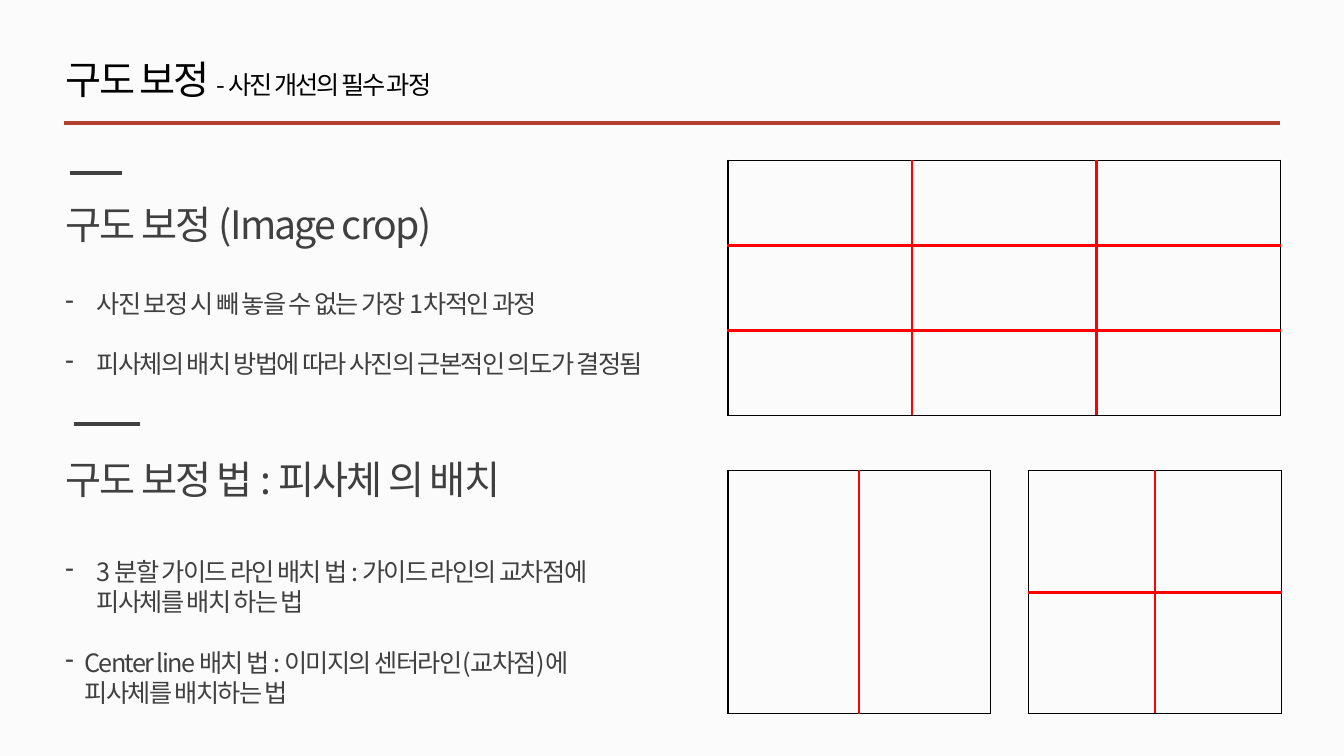
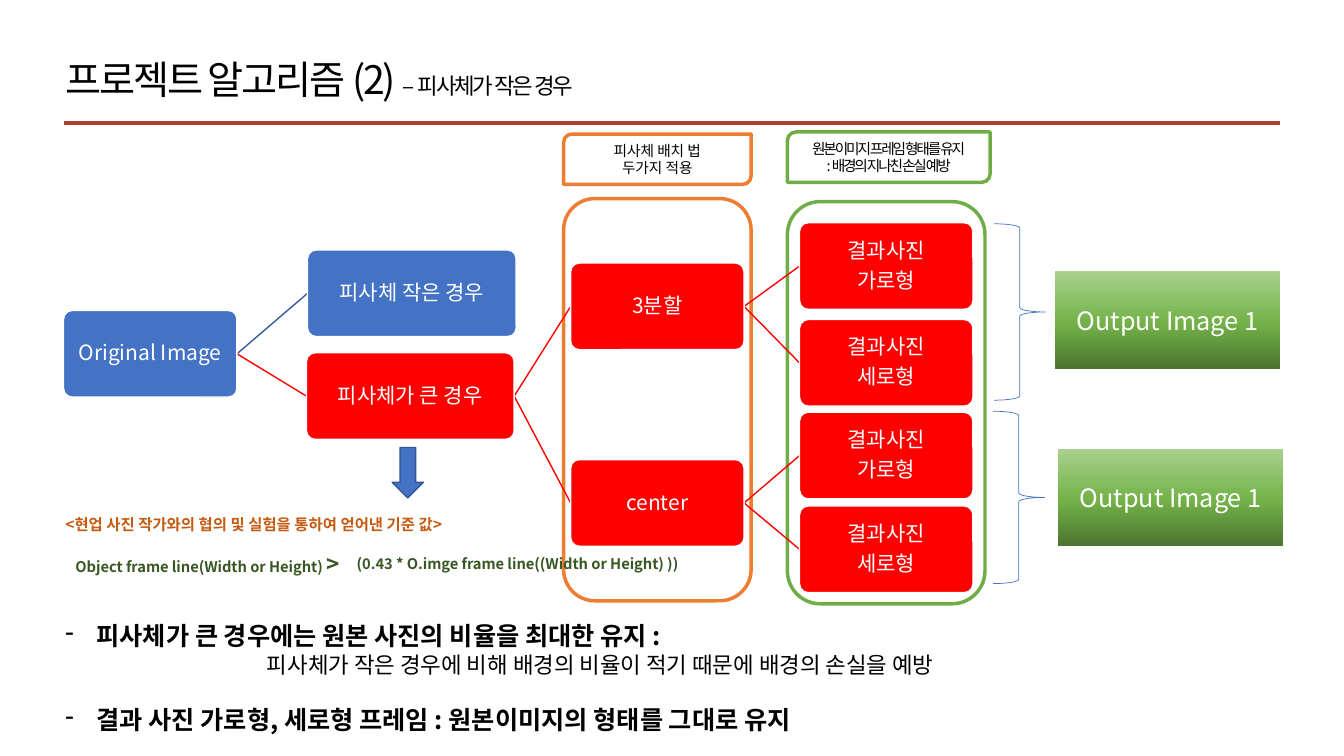
import copy
from dataclasses import dataclass

import pptx
import pptx.dml.color
import pptx.enum.shapes
import pptx.enum.text
import pptx.oxml
import pptx.oxml.ns
import pptx.util
from lxml import etree

Inches = pptx.util.Inches
Pt = pptx.util.Pt
qn = pptx.oxml.ns.qn
KIND = pptx.enum.shapes.MSO_SHAPE
ALIGN = pptx.enum.text.PP_ALIGN
ANCHOR = pptx.enum.text.MSO_ANCHOR


@dataclass(frozen=True)
class Style:
    """Look of one run of text."""
    size: float
    color: str
    track: float = 0
    bold: bool = False


@dataclass(frozen=True)
class Theme:
    """Colours and type shared by the slides."""
    font: str = "Noto Sans CJK KR"
    lead: float = 1.2
    paper: str = "FBFBFB"
    white: str = "FFFFFF"
    black: str = "000000"
    rule: str = "B14031"
    gray: str = "404040"
    red: str = "FF0000"
    blue: str = "4472C4"
    navy: str = "365B9D"
    edge: str = "325491"
    orange: str = "ED7D31"
    green: str = "70AD47"
    fade: tuple = ((0, "4B7430"), (0.48, "74B349"), (1, "A9D18E"))
    title: Style = Style(28, "000000", -1.5)
    sub: Style = Style(18, "000000", -1.5)
    minor: Style = Style(16, "000000", -1.5)
    topic: Style = Style(28, "404040", -1.2)
    body: Style = Style(18, "404040", -1.2)
    node: Style = Style(15, "FFFFFF")
    result: Style = Style(18, "FFFFFF")
    label: Style = Style(10.5, "000000")
    tight: Style = Style(10.5, "000000", -1.5)
    basis: Style = Style(11, "C55A11", 0, True)
    rate: Style = Style(10.5, "385723", 0, True)
    sign: Style = Style(16, "385723", 0, True)
    strong: Style = Style(18, "000000", 0, True)
    plain: Style = Style(16, "000000")


@dataclass(frozen=True)
class Box:
    """Rectangle in inches."""
    x: float
    y: float
    w: float
    h: float

    def sub(self, x, y, w, h):
        """Return a box placed relative to this one."""
        return Box(self.x + x, self.y + y, w, h)

    def place(self):
        """Return left, top, width and height as lengths."""
        return [Inches(n) for n in (self.x, self.y, self.w, self.h)]

    def side(self, right):
        """Return the middle of the left or right side."""
        return self.x + self.w * right, self.y + self.h / 2


THEME = Theme()


def rgb(code):
    """Turn a hex code into a colour."""
    return pptx.dml.color.RGBColor.from_string(code)


def add_run(para, text, style):
    """Add text in one style, breaking lines where marked."""
    for i, piece in enumerate(text.split("\n")):
        if i:
            para.add_line_break()
        run = para.add_run()
        run.text = piece
        run.font.size = Pt(style.size)
        run.font.bold = style.bold
        run.font.color.rgb = rgb(style.color)
        run.font.name = THEME.font
        props = run.font._element
        etree.SubElement(props, qn("a:ea")).set("typeface", THEME.font)
        if style.track:
            props.set("spc", str(round(style.track * 100)))


def add_para(frame, *parts, mark=False, left=0, hang=0, before=0, after=0,
             align=ALIGN.LEFT, scale=1):
    """Add one paragraph made of (text, style) parts."""
    para = frame.paragraphs[0]
    if para.runs:
        para = frame.add_paragraph()
    para.alignment = align
    para.line_spacing = Pt(max(s.size for _, s in parts) * THEME.lead * scale)
    para.space_before, para.space_after = Pt(before), Pt(after)
    props = para._p.get_or_add_pPr()
    props.set("marL", str(Inches(left)))
    props.set("indent", str(Inches(-hang)))
    if mark:
        etree.SubElement(props, qn("a:buChar")).set("char", "-")
    for text, style in parts:
        add_run(para, text, style)


def add_item(frame, text, style, before=0, hang=0.31):
    """Add a dashed list item."""
    add_para(frame, (text, style), mark=True, left=hang, hang=hang, before=before)


def add_text(slide, box, *parts):
    """Add a text box, with a first paragraph if parts are given."""
    frame = slide.shapes.add_textbox(*box.place()).text_frame
    frame.word_wrap = True
    if parts:
        add_para(frame, *parts)
    return frame


def add_line(slide, start, end, color, width):
    """Draw a straight line between two points."""
    ends = [Inches(n) for n in (*start, *end)]
    line = slide.shapes.add_connector(pptx.enum.shapes.MSO_CONNECTOR.STRAIGHT, *ends)
    line.line.color.rgb = rgb(color)
    line.line.width = Pt(width)
    etree.SubElement(line._element.spPr, qn("a:effectLst"))


def add_shape(slide, kind, box, fill=None, line=None, width=1):
    """Add a flat preset shape."""
    shape = slide.shapes.add_shape(kind, *box.place())
    shape.shadow.inherit = False
    if fill:
        shape.fill.solid()
        shape.fill.fore_color.rgb = rgb(fill)
    else:
        shape.fill.background()
    if line:
        shape.line.color.rgb = rgb(line)
        shape.line.width = Pt(width)
    else:
        shape.line.fill.background()
    shape.text_frame.vertical_anchor = ANCHOR.MIDDLE
    return shape


def add_head(slide, box, *parts):
    """Place the slide title over its red rule."""
    add_text(slide, box.sub(-0.08, 0, box.w, 0.57), *parts)
    y = box.y + box.h
    add_line(slide, (box.x, y), (box.x + box.w, y), THEME.rule, 3)


def add_topic(slide, box, title, drop, dash):
    """Place a short dash, a topic title and an empty list; return the list."""
    start, size = dash
    add_line(slide, (box.x + start, box.y), (box.x + start + size, box.y), THEME.gray, 3)
    add_text(slide, box.sub(0, drop, box.w, 0.57), (title, THEME.topic))
    return add_text(slide, box.sub(0, box.h, box.w, 1))


def add_guide(slide, box, rows, cols):
    """Draw a black frame split by red guide lines."""
    table = slide.shapes.add_table(rows, cols, *box.place()).table
    table.first_row = table.horz_banding = False
    for col in table.columns:
        col.width = Inches(box.w / cols)
    for row in table.rows:
        row.height = Inches(box.h / rows)
    for r in range(rows):
        for c in range(cols):
            cell = table.cell(r, c)
            outer = {"L": c == 0, "R": c == cols - 1, "T": r == 0, "B": r == rows - 1}
            for side, out in outer.items():
                edge = etree.SubElement(cell._tc.get_or_add_tcPr(), qn("a:ln" + side))
                edge.set("w", str(Pt(1 if out else 2.25)))
                fill = etree.SubElement(edge, qn("a:solidFill"))
                color = THEME.black if out else THEME.red
                etree.SubElement(fill, qn("a:srgbClr")).set("val", color)
            cell.fill.background()


def add_node(slide, box, text, fill):
    """Draw one step of the tree."""
    shape = add_shape(slide, KIND.ROUNDED_RECTANGLE, box, fill, THEME.white)
    shape.adjustments[0] = 0.1
    frame = shape.text_frame
    frame.margin_left = frame.margin_right = Inches(0.01)
    frame.margin_top = frame.margin_bottom = Inches(0.01)
    for line in text.split("\n"):
        add_para(frame, (line, THEME.node), align=ALIGN.CENTER, after=5.25, scale=0.9)


def add_frame(slide, box, cap, text, style, color):
    """Draw a tall outline with a caption above it."""
    add_shape(slide, KIND.ROUNDED_RECTANGLE, box, THEME.white, color, 2.5)
    label = add_shape(slide, KIND.ROUND_2_DIAG_RECTANGLE, cap, THEME.white, color, 2.5)
    add_para(label.text_frame, (text, style), align=ALIGN.CENTER)


def add_tree(slide, box):
    """Draw the steps and the links between them."""
    red, blue = THEME.red, THEME.blue
    nodes = {
        "root": (0, 1.77, 1.72, "Original Image", blue),
        "small": (2.42, 1.17, 2.07, "피사체 작은 경우", blue),
        "large": (2.41, 2.19, 2.06, "피사체가 큰 경우", red),
        "thirds": (5.03, 1.3, 1.72, "3분할", red),
        "center": (5.03, 3.25, 1.72, "center", red),
    }
    for i, y in enumerate((0.9, 1.86, 2.78, 3.71)):
        form = "세로형" if i % 2 else "가로형"
        nodes[f"leaf{i}"] = (7.3, y, 1.72, f"결과사진\n{form}", red)
    boxes = {name: box.sub(x, y, w, 0.86) for name, (x, y, w, _, _) in nodes.items()}
    links = [("root", "small"), ("root", "large"), ("large", "thirds"),
             ("large", "center"), ("thirds", "leaf0"), ("thirds", "leaf1"),
             ("center", "leaf2"), ("center", "leaf3")]
    for start, end in links:
        color = THEME.navy if end == "small" else red
        add_line(slide, boxes[start].side(1), boxes[end].side(0), color, 1)
    for name, (_, _, _, text, fill) in nodes.items():
        add_node(slide, boxes[name], text, fill)


def add_result(slide, brace, box):
    """Draw a brace and the shaded result it leads to."""
    add_shape(slide, KIND.RIGHT_BRACE, brace, None, THEME.blue, 0.5)
    shape = add_shape(slide, KIND.RECTANGLE, box)
    shape.fill.gradient()
    shape.fill.gradient_angle = 90
    stops = shape._element.spPr.find(".//" + qn("a:gsLst"))
    stops.append(copy.deepcopy(stops[0]))
    for stop, (pos, color) in zip(shape.fill.gradient_stops, THEME.fade):
        stop.position = pos
        stop.color.rgb = rgb(color)
    add_para(shape.text_frame, ("Output Image 1", THEME.result), align=ALIGN.CENTER)


def add_rule(slide, box):
    """Write the size test under its arrow."""
    add_shape(slide, KIND.DOWN_ARROW, box.sub(3.34, 0, 0.31, 0.5), THEME.blue, THEME.edge)
    add_text(slide, box.sub(0, 0.62, 4.48, 0.29),
             ("<현업 사진 작가와의 협의 및 실험을 통하여 얻어낸 기준 값>", THEME.basis))
    add_text(slide, box.sub(0.1, 0.97, 2.92, 0.37),
             ("Object frame line(Width or Height) ", THEME.rate), (">", THEME.sign))
    add_text(slide, box.sub(2.89, 1.01, 3.53, 0.28),
             ("(0.43 * O.imge frame line((Width or Height) ))", THEME.rate))


def add_notes(slide, box):
    """List the closing points."""
    frame = add_text(slide, box)
    add_item(frame, "피사체가 큰 경우에는 원본 사진의 비율을 최대한 유지 :", THEME.strong)
    add_para(frame, ("피사체가 작은 경우에 비해 배경의 비율이 적기 때문에 배경의 손실을 예방",
                     THEME.plain), left=2)
    add_item(frame, "결과 사진 가로형, 세로형 프레임 : 원본이미지의 형태를 그대로 유지",
             THEME.strong, before=19.2)


def add_slide(deck, color, *title):
    """Add a blank slide with its background and title."""
    slide = deck.slides.add_slide(deck.slide_layouts[6])
    slide.background.fill.solid()
    slide.background.fill.fore_color.rgb = rgb(color)
    add_head(slide, Box(0.63, 0.5, 12.07, 0.72), *title)
    return slide


def build_crop(deck):
    """Build the slide on cropping."""
    slide = add_slide(deck, THEME.paper, ("구도 보정 ", THEME.title),
                      ("- 사진 개선의 필수 과정", THEME.sub))
    frame = add_topic(slide, Box(0.55, 1.72, 6.67, 1.09), "구도 보정 (Image crop)",
                      0.22, (0.14, 0.52))
    add_item(frame, "사진 보정 시 빼 놓을 수 없는 가장 1차적인 과정", THEME.body)
    add_item(frame, "피사체의 배치 방법에 따라 사진의 근본적인 의도가 결정됨", THEME.body, 21.6)
    frame = add_topic(slide, Box(0.55, 4.21, 6.67, 1.26), "구도 보정 법 : 피사체 의 배치",
                      0.26, (0.18, 0.66))
    add_item(frame, "3 분할 가이드 라인 배치 법 : 가이드 라인의 교차점에\n피사체를 배치 하는 법",
             THEME.body)
    add_item(frame, "Center line 배치 법 : 이미지의 센터라인(교차점)에\n피사체를 배치하는 법",
             THEME.body, 21.6, 0.19)
    add_guide(slide, Box(7.22, 1.59, 5.48, 2.53), 3, 3)
    add_guide(slide, Box(7.22, 4.67, 2.6, 2.41), 1, 2)
    add_guide(slide, Box(10.2, 4.67, 2.51, 2.41), 2, 2)


def build_flow(deck):
    """Build the slide on the algorithm."""
    slide = add_slide(deck, THEME.white, ("프로젝트 알고리즘 (2) ", THEME.title),
                      ("– 피사체가 작은 경우", THEME.minor))
    add_frame(slide, Box(7.81, 2, 1.96, 3.99), Box(7.81, 1.31, 2.01, 0.5),
              "원본이미지 프레임 형태를 유지\n: 배경의 지나친 손실 예방", THEME.tight, THEME.green)
    add_frame(slide, Box(5.59, 1.97, 1.86, 3.99), Box(5.59, 1.33, 1.86, 0.5),
              "피사체 배치 법\n두가지 적용", THEME.label, THEME.orange)
    add_tree(slide, Box(0.63, 1.31, 9.02, 4.57))
    add_result(slide, Box(9.86, 2.22, 0.51, 1.75), Box(10.46, 2.69, 2.24, 0.97))
    add_result(slide, Box(9.85, 4.08, 0.51, 1.71), Box(10.49, 4.45, 2.24, 0.97))
    add_rule(slide, Box(0.55, 4.44, 6.42, 1.34))
    add_notes(slide, Box(0.55, 6.11, 9.66, 1.3))


def main():
    """Build and save the deck."""
    deck = pptx.Presentation()
    deck.slide_width, deck.slide_height = Inches(13.33), Inches(7.5)
    build_crop(deck)
    build_flow(deck)
    deck.save("out.pptx")


if __name__ == "__main__":
    main()
